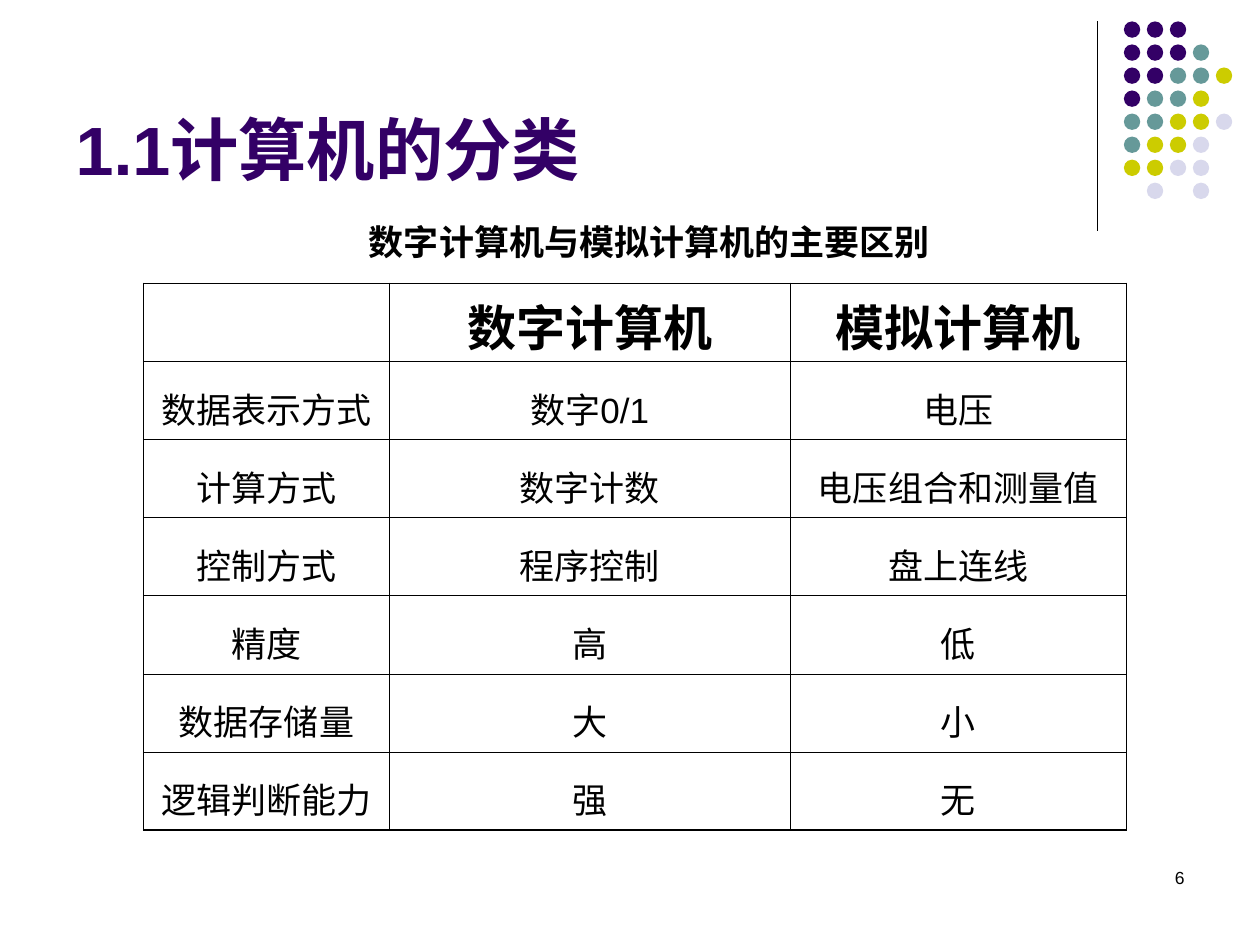
from lxml.etree import SubElement
from pptx import Presentation
from pptx.dml.color import RGBColor
from pptx.enum.shapes import MSO_CONNECTOR, MSO_SHAPE
from pptx.enum.text import MSO_ANCHOR, MSO_AUTO_SIZE, PP_ALIGN
from pptx.oxml.ns import qn
from pptx.util import Inches, Pt

COLORS = {
    "text": "000000",
    "purple": "330066",
    "teal": "669999",
    "olive": "CCCC00",
    "lavender": "D8D8EC",
}
DOT_COLORS = {"P": "purple", "T": "teal", "O": "olive", "L": "lavender"}
DOT_ROWS = ["PPP", "PPPT", "PPTTO", "PTTO", "TTOOL", "TOOL", "OOLL", ".L.L"]
DOT_SIZE = 0.13
DOT_PITCH_X = 0.73 / 4
DOT_PITCH_Y = 1.28 / 7

COLUMN_WIDTHS = [1.95, 3.18, 2.67]
ROW_HEIGHT = 0.62
THIN, THICK = 0.45, 1.08
TABLE_ROWS = [
    ["", "数字计算机", "模拟计算机"],
    ["数据表示方式", "数字0/1", "电压"],
    ["计算方式", "数字计数", "电压组合和测量值"],
    ["控制方式", "程序控制", "盘上连线"],
    ["精度", "高", "低"],
    ["数据存储量", "大", "小"],
    ["逻辑判断能力", "强", "无"],
]


def rgb(name):
    return RGBColor.from_string(COLORS[name])


class SlideBuilder:
    font_name = "Arial"

    def __init__(self, slide):
        self.slide = slide

    def add_text(self, text_frame, text, size, color="text", bold=False, align=PP_ALIGN.LEFT):
        paragraph = text_frame.paragraphs[0]
        paragraph.alignment = align
        run = paragraph.add_run()
        run.text = text
        font_format = {"name": self.font_name, "size": Pt(size), "bold": bold}
        for attribute, value in font_format.items():
            setattr(run.font, attribute, value)
        run.font.color.rgb = rgb(color)

    def title(self, text, left, top, width, height):
        title = self.slide.shapes.title
        position = {"left": left, "top": top, "width": width, "height": height}
        for attribute, value in position.items():
            setattr(title, attribute, Inches(value))
        frame = title.text_frame
        frame_format = {
            "vertical_anchor": MSO_ANCHOR.BOTTOM,
            "auto_size": MSO_AUTO_SIZE.NONE,
            "word_wrap": True,
        }
        for attribute, value in frame_format.items():
            setattr(frame, attribute, value)
        self.add_text(frame, text, 39, "purple", True)

    def text_box(self, text, left, top, width, height, size, wrap=True, **style):
        box = self.slide.shapes.add_textbox(*map(Inches, (left, top, width, height)))
        box.text_frame.word_wrap = wrap
        self.add_text(box.text_frame, text, size, **style)

    def line(self, start_x, start_y, end_x, end_y):
        points = map(Inches, (start_x, start_y, end_x, end_y))
        connector = self.slide.shapes.add_connector(MSO_CONNECTOR.STRAIGHT, *points)
        connector.line.color.rgb = rgb("text")
        connector.line.width = Pt(0.75)
        SubElement(connector._element.spPr, qn("a:effectLst"))

    def dots(self, left, top):
        group = self.slide.shapes.add_group_shape()
        for row, codes in enumerate(DOT_ROWS):
            for column, code in enumerate(codes):
                if code not in DOT_COLORS:
                    continue
                x = left + column * DOT_PITCH_X
                y = top + row * DOT_PITCH_Y
                dot = group.shapes.add_shape(
                    MSO_SHAPE.OVAL, *map(Inches, (x, y, DOT_SIZE, DOT_SIZE))
                )
                dot.shadow.inherit = False
                dot.fill.solid()
                dot.fill.fore_color.rgb = rgb(DOT_COLORS[code])
                dot.line.fill.background()

    def borders(self, cell, widths):
        properties = cell._tc.get_or_add_tcPr()
        for side, width in widths.items():
            border = SubElement(properties, qn(f"a:ln{side}"), w=str(Pt(width)))
            fill = SubElement(border, qn("a:solidFill"))
            SubElement(fill, qn("a:srgbClr"), val=COLORS["text"])

    def table(self, rows, left, top):
        size = (sum(COLUMN_WIDTHS), ROW_HEIGHT * len(rows))
        frame = self.slide.shapes.add_table(
            len(rows), len(COLUMN_WIDTHS), *map(Inches, (left, top, *size))
        )
        table = frame.table
        table.first_row = table.horz_banding = False
        for column, width in zip(table.columns, COLUMN_WIDTHS):
            column.width = Inches(width)
        last_row, last_column = len(rows) - 1, len(COLUMN_WIDTHS) - 1
        for row, texts in enumerate(rows):
            table.rows[row].height = Inches(ROW_HEIGHT)
            header = row == 0
            for column, text in enumerate(texts):
                cell = table.cell(row, column)
                self.borders(cell, {
                    "L": THICK if column == 0 else THIN,
                    "R": THICK if column == last_column else THIN,
                    "T": THICK if header else THIN,
                    "B": THICK if row == last_row else THIN,
                })
                cell.fill.background()
                cell.vertical_anchor = MSO_ANCHOR.BOTTOM
                if text:
                    self.add_text(cell.text_frame, text, 28 if header else 20,
                                  bold=header, align=PP_ALIGN.CENTER)


def main():
    presentation = Presentation()
    presentation.slide_width = Inches(10)
    presentation.slide_height = Inches(7.5)
    builder = SlideBuilder(presentation.slides.add_slide(presentation.slide_layouts[5]))
    builder.line(8.71, 0.17, 8.71, 1.83)
    builder.dots(8.92, 0.17)
    builder.text_box("6", 7.17, 6.83, 2.33, 0.5, 10, align=PP_ALIGN.RIGHT)
    builder.title("1.1计算机的分类", 0.5, 0.13, 8.25, 1.42)
    builder.table(TABLE_ROWS, 1.14, 2.25)
    builder.text_box("数字计算机与模拟计算机的主要区别", 2.83, 1.7, 4.65, 0.44, 20,
                     wrap=False, bold=True)
    presentation.save("out.pptx")


if __name__ == "__main__":
    main()
